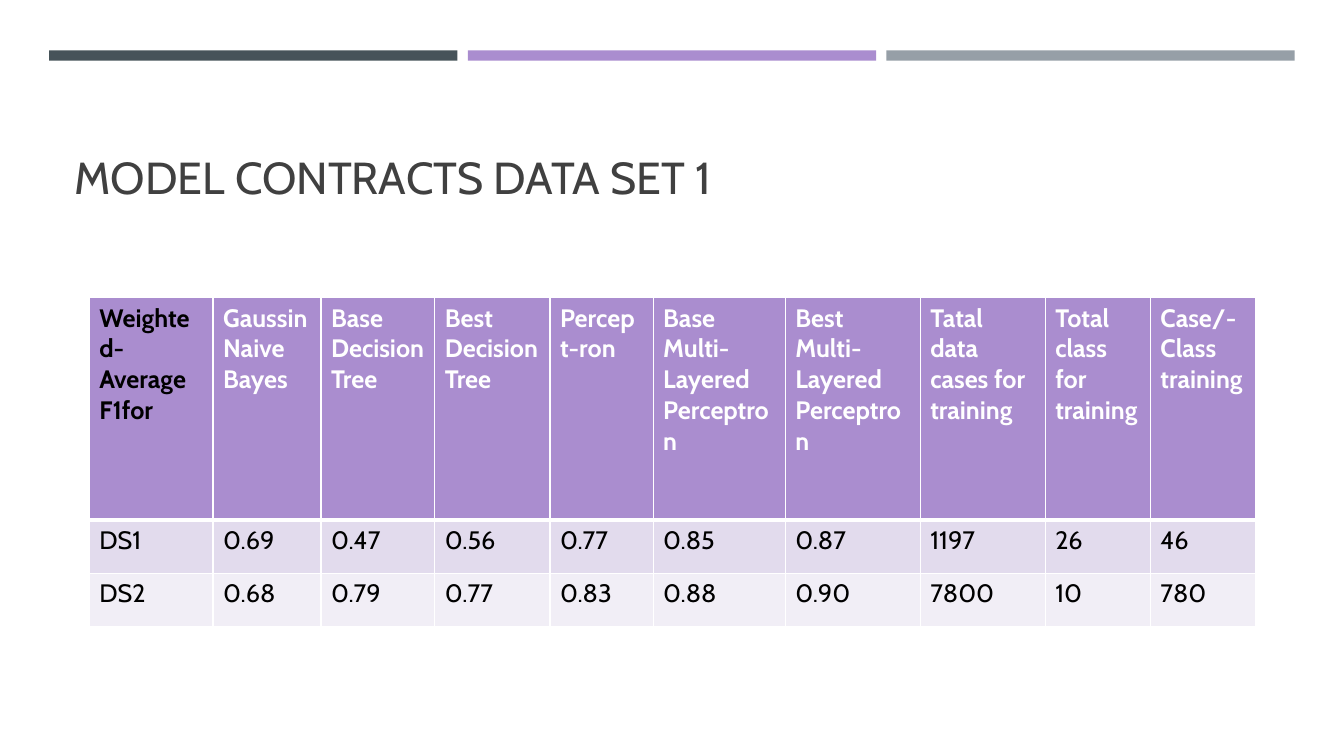
from lxml.etree import SubElement
from pptx import Presentation
from pptx.dml.color import RGBColor
from pptx.enum.shapes import MSO_SHAPE
from pptx.enum.text import MSO_ANCHOR
from pptx.oxml.ns import qn
from pptx.util import Cm, Pt

SLATE = RGBColor(0x46, 0x53, 0x59)
PURPLE = RGBColor(0xAA, 0x8D, 0xCF)
GREY = RGBColor(0x96, 0x9F, 0xA7)
DARK = RGBColor(0x40, 0x40, 0x40)
BLACK = RGBColor(0, 0, 0)
WHITE = RGBColor(0xFF, 0xFF, 0xFF)
LILAC = RGBColor(0xE2, 0xDB, 0xED)
PALE = RGBColor(0xF1, 0xEE, 0xF6)


def style(frame, color, form):
    """Apply a colour and a dict of font values to every paragraph."""
    for para in frame.paragraphs:
        for run in para.runs:
            run.font.color.rgb = color
            for key, value in form.items():
                setattr(run.font, key, value)


def edge(cell, side, width):
    """Draw a white border on one side of a cell."""
    props = cell._tc.get_or_add_tcPr()
    line = SubElement(props, qn(f"a:ln{side}"), w=str(Pt(width)))
    fill = SubElement(line, qn("a:solidFill"))
    SubElement(fill, qn("a:srgbClr"), val=str(WHITE))


deck = Presentation()
deck.slide_width, deck.slide_height = Cm(33.87), Cm(19.05)
slide = deck.slides.add_slide(deck.slide_layouts[6])

# Three bars across the top
for place, color in enumerate((SLATE, PURPLE, GREY)):
    bar = slide.shapes.add_shape(
        MSO_SHAPE.RECTANGLE, Cm(1.24 + place * 10.55), Cm(1.27), Cm(10.29), Cm(0.26))
    bar.shadow.inherit = False
    bar.fill.solid()
    bar.fill.fore_color.rgb = color
    bar.line.fill.background()

# Title
title = slide.shapes.add_textbox(Cm(1.63), Cm(1.96), Cm(30.63), Cm(3.3))
frame = title.text_frame
frame.word_wrap = True
frame.vertical_anchor = MSO_ANCHOR.BOTTOM
frame.text = "MODEL CONTRACTS DATA SET 1"
frame.paragraphs[0].line_spacing = 0.9
style(frame, DARK, {"name": "Cabin", "size": Pt(32)})

# Score table
ROWS = [
    ["Weighted-Average F1for", "Gaussin Naive Bayes", "Base Decision Tree",
     "Best Decision Tree", "Percept-ron", "Base Multi-Layered Perceptron",
     "Best Multi-Layered Perceptron", "Tatal data cases for training",
     "Total class for training", "Case/-Class\ntraining"],
    ["DS1", "0.69", "0.47", "0.56", "0.77", "0.85", "0.87", "1197", "26", "46"],
    ["DS2", "0.68", "0.79", "0.77", "0.83", "0.88", "0.90", "7800", "10", "780"],
]
WIDTHS = [3.12, 2.72, 2.87, 2.9, 2.6, 3.33, 3.4, 3.15, 2.65, 2.66]
HEIGHTS = [5.6, 1.35, 1.35]
FILLS = [PURPLE, LILAC, PALE]

table = slide.shapes.add_table(
    len(ROWS), len(WIDTHS), Cm(2.25), Cm(7.5), Cm(sum(WIDTHS)), Cm(sum(HEIGHTS))).table
for column, width in zip(table.columns, WIDTHS):
    column.width = Cm(width)
for r, (words, height, fill) in enumerate(zip(ROWS, HEIGHTS, FILLS)):
    table.rows[r].height = Cm(height)
    head = r == 0
    for c, text in enumerate(words):
        cell = table.cell(r, c)
        cell.text = text
        color = WHITE if head and c else BLACK
        style(cell.text_frame, color, {"name": "Cabin", "size": Pt(18), "bold": head})
        for side in "LRTB":
            thick = (head and side == "B") or (r == 1 and side == "T")
            edge(cell, side, 3 if thick else 1)
        cell.fill.solid()
        cell.fill.fore_color.rgb = fill

deck.save("out.pptx")
